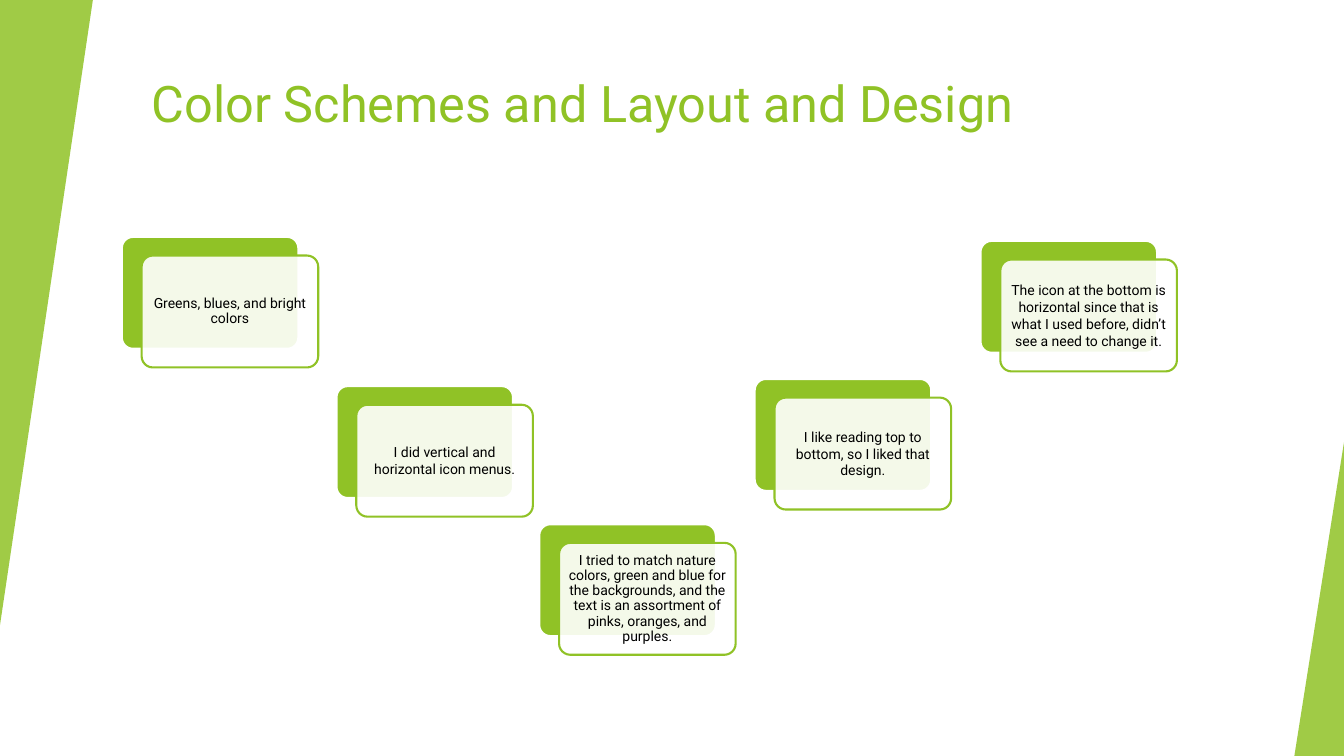
from pptx import Presentation
from pptx.dml.color import RGBColor
from pptx.enum.shapes import MSO_SHAPE
from pptx.enum.text import MSO_ANCHOR, PP_ALIGN
from pptx.oxml.ns import qn
from pptx.util import Cm, Pt
from lxml import etree

TRIANGLE = MSO_SHAPE.ISOSCELES_TRIANGLE
ROUNDED = MSO_SHAPE.ROUNDED_RECTANGLE
TOP, MIDDLE = MSO_ANCHOR.TOP, MSO_ANCHOR.MIDDLE
CENTER = PP_ALIGN.CENTER

SLIDE_W, SLIDE_H = 33.87, 19.05
GREEN, WHITE, BLACK = "90C226", "FFFFFF", "000000"
FONT = "Roboto"

# Cards: width, height and the shift of the front panel
CARD_W, CARD_H = 4.45, 2.82
SHIFT_X, SHIFT_Y = 0.5, 0.47

# Left, top, line spacing, text
CARDS = [
    (3.07, 5.97, 0.9, "Greens, blues, and bright colors"),
    (8.48, 9.73, 1.0, "I did vertical and horizontal icon menus."),
    (13.59, 13.21, 0.9, "I tried to match nature colors, green and blue for the "
     "backgrounds, and the text is an assortment of pinks, oranges, and purples."),
    (19.02, 9.55, 1.0, "I like reading top to bottom, so I liked that design."),
    (24.71, 6.07, 1.0, "The icon at the bottom is horizontal since that is what "
     "I used before, didn’t see a need to change it."),
]


def color(hex_code):
    return RGBColor.from_string(hex_code)


def add_panel(slide, kind, box, adjustment, fill, opacity=100, outline=None):
    panel = slide.shapes.add_shape(kind, *(Cm(length) for length in box))
    panel.adjustments[0] = adjustment
    panel.shadow.inherit = False
    panel.fill.solid()
    panel.fill.fore_color.rgb = color(fill)
    if opacity < 100:
        fill_color = panel._element.spPr.find(qn("a:solidFill"))[0]
        etree.SubElement(fill_color, qn("a:alpha"), val=str(opacity * 1000))
    if outline:
        panel.line.color.rgb = color(outline)
        panel.line.width = Pt(1.5)
    else:
        panel.line.fill.background()
    return panel


def write(frame, text, size, hex_code, anchor):
    frame.word_wrap = True
    frame.vertical_anchor = anchor
    frame.text = text
    paragraph = frame.paragraphs[0]
    font = paragraph.runs[0].font
    font.name, font.size = FONT, Pt(size)
    font.color.rgb = color(hex_code)
    return paragraph


def add_title(slide, left, top, width, height):
    title = slide.shapes.add_textbox(Cm(left), Cm(top), Cm(width), Cm(height))
    write(title.text_frame, "Color Schemes and Layout and Design", 36, GREEN, TOP)


def add_side_wedges(slide, width, height):
    # Left wedge hangs from the top edge, right wedge rises from the bottom
    left_wedge = add_panel(slide, TRIANGLE, (0, 0, 2.34, 15.75), 1, GREEN, 85)
    left_wedge.rotation = 180
    wedge_w, wedge_h = 1.25, 7.9
    add_panel(slide, TRIANGLE, (width - wedge_w, height - wedge_h, wedge_w, wedge_h),
              1, GREEN, 85)


def add_card(slide, left, top, spacing, text):
    add_panel(slide, ROUNDED, (left, top, CARD_W, CARD_H), 0.1, GREEN, outline=WHITE)
    front = add_panel(slide, ROUNDED, (left + SHIFT_X, top + SHIFT_Y, CARD_W, CARD_H),
                      0.1, WHITE, 90, GREEN)
    frame = front.text_frame
    frame.margin_left = frame.margin_right = Cm(0.1)
    frame.margin_top = frame.margin_bottom = Cm(0.1)
    paragraph = write(frame, text, 10, BLACK, MIDDLE)
    paragraph.alignment = CENTER
    paragraph.line_spacing = spacing
    paragraph.space_after = Pt(3.5)


def main():
    deck = Presentation()
    deck.slide_width, deck.slide_height = Cm(SLIDE_W), Cm(SLIDE_H)
    slide = deck.slides.add_slide(deck.slide_layouts[6])
    add_title(slide, 3.58, 1.7, 28.32, 3.05)
    add_side_wedges(slide, SLIDE_W, SLIDE_H)
    for card in CARDS:
        add_card(slide, *card)
    deck.save("out.pptx")


if __name__ == "__main__":
    main()
